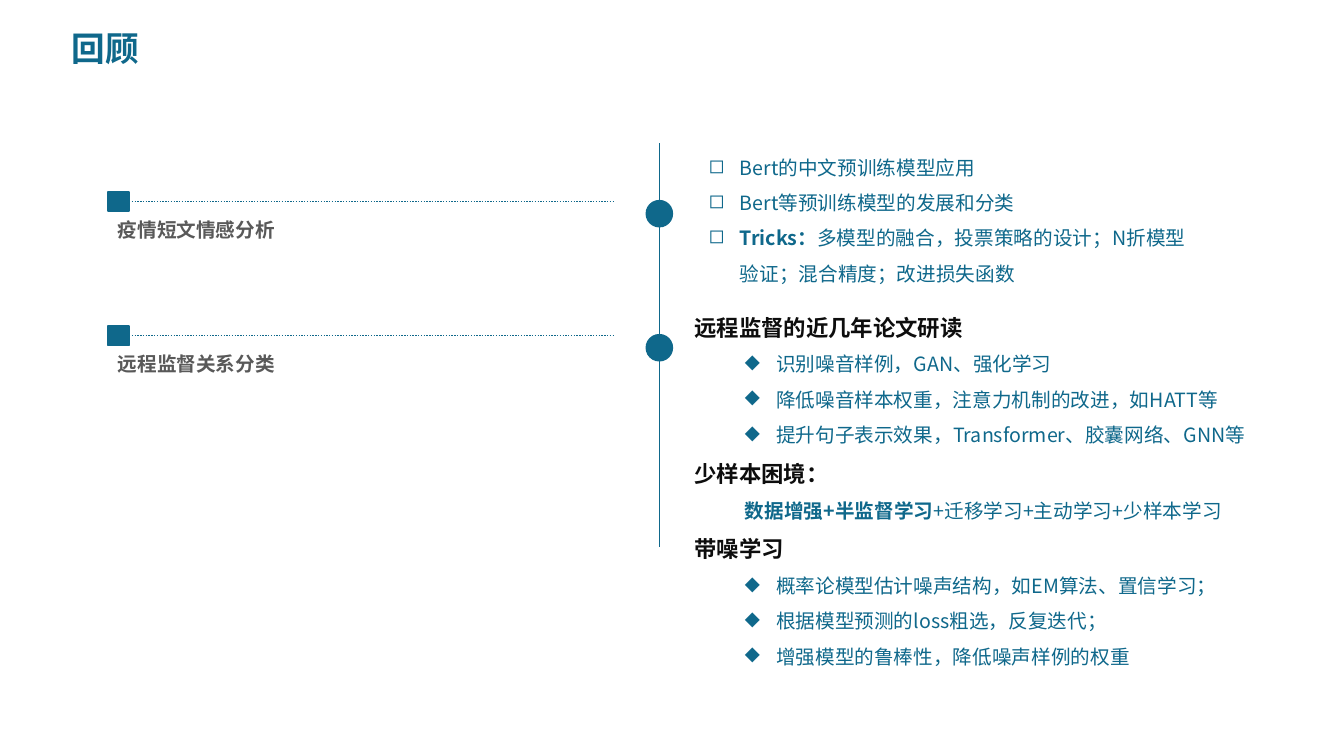
from lxml import etree
from pptx import Presentation
from pptx.dml.color import RGBColor
from pptx.enum.dml import MSO_LINE
from pptx.enum.shapes import MSO_CONNECTOR, MSO_SHAPE
from pptx.enum.text import MSO_ANCHOR, MSO_AUTO_SIZE, PP_ALIGN
from pptx.oxml.ns import qn
from pptx.util import Inches, Pt

OVAL, RECT = MSO_SHAPE.OVAL, MSO_SHAPE.RECTANGLE
STRAIGHT, DOTTED = MSO_CONNECTOR.STRAIGHT, MSO_LINE.ROUND_DOT
MIDDLE, JUSTIFY = MSO_ANCHOR.MIDDLE, PP_ALIGN.JUSTIFY
GROW, FIXED = MSO_AUTO_SIZE.SHAPE_TO_FIT_TEXT, MSO_AUTO_SIZE.NONE

# Content: a paragraph is (style, [(text, bold), ...])
TITLE = "回顾"
TOPICS = ["疫情短文情感分析", "远程监督关系分类"]
SENTIMENT = [
    ("square", [("Bert的中文预训练模型应用", False)]),
    ("square", [("Bert等预训练模型的发展和分类", False)]),
    ("square", [("Tricks：", True),
                ("多模型的融合，投票策略的设计；N折模型验证；混合精度；改进损失函数", False)]),
]
RELATION = [
    ("heading", [("远程监督的近几年论文研读", True)]),
    ("diamond", [("识别噪音样例，GAN、强化学习", False)]),
    ("diamond", [("降低噪音样本权重，注意力机制的改进，如HATT等", False)]),
    ("diamond", [("提升句子表示效果，Transformer、胶囊网络、GNN等", False)]),
    ("heading", [("少样本困境：", True)]),
    ("indented", [("数据增强+半监督学习", True), ("+迁移学习+主动学习+少样本学习", False)]),
    ("heading", [("带噪学习", True)]),
    ("diamond", [("概率论模型估计噪声结构，如EM算法、置信学习；", False)]),
    ("diamond", [("根据模型预测的loss粗选，反复迭代；", False)]),
    ("diamond", [("增强模型的鲁棒性，降低噪声样例的权重", False)]),
]

THEME = {
    "font": "Noto Sans CJK SC",
    "teal": RGBColor(0x0F, 0x68, 0x8B),
    "gray": RGBColor(0x59, 0x59, 0x59),
    "black": RGBColor(0x0D, 0x0D, 0x0D),
    "title": 24, "heading": 16, "body": 14,
}
# style: level, left margin, first-line indent, bullet, size, colour
STYLES = {
    "topic": (0, 0, 0, None, "body", "gray"),
    "square": (0, 0.31, -0.31, "◻", "body", "teal"),
    "heading": (0, 0, 0, None, "heading", "black"),
    "diamond": (1, 0.81, -0.31, "◆", "body", "teal"),
    "indented": (1, 0.5, 0, None, "body", "teal"),
}

prs = Presentation()
prs.slide_width, prs.slide_height = Inches(13.33), Inches(7.5)
s = prs.slides.add_slide(prs.slide_layouts[5])


def add_run(p, text, size, color, bold):
    r = p.add_run()
    r.text = text
    r.font.size, r.font.bold = Pt(THEME[size]), bold
    r.font.color.rgb = THEME[color]
    r.font.name = THEME["font"]
    ea = etree.SubElement(r.font._element, qn("a:ea"))
    ea.set("typeface", THEME["font"])


def add_text(x, y, w, h, paragraphs, spacing=1.5):
    tf = s.shapes.add_textbox(Inches(x), Inches(y), Inches(w), Inches(h)).text_frame
    tf.word_wrap, tf.auto_size = True, GROW
    for i, (style, runs) in enumerate(paragraphs):
        level, margin, indent, bullet, size, color = STYLES[style]
        p = tf.add_paragraph() if i else tf.paragraphs[0]
        p.level, p.line_spacing = level, spacing
        pPr = p._p.get_or_add_pPr()
        pPr.set("marL", str(Inches(margin)))
        pPr.set("indent", str(Inches(indent)))
        if bullet:
            etree.SubElement(pPr, qn("a:buChar")).set("char", bullet)
        for text, bold in runs:
            add_run(p, text, size, color, bold)


def add_line(x1, y1, x2, y2, dash=None):
    line = s.shapes.add_connector(STRAIGHT, Inches(x1), Inches(y1), Inches(x2), Inches(y2))
    line.line.color.rgb, line.line.width = THEME["teal"], Pt(1)
    if dash:
        line.line.dash_style = dash
    etree.SubElement(line._element.spPr, qn("a:effectLst"))


def add_marker(kind, x, y, w, h):
    sp = s.shapes.add_shape(kind, Inches(x), Inches(y), Inches(w), Inches(h))
    sp.shadow.inherit = False
    sp.fill.solid()
    sp.fill.fore_color.rgb = sp.line.color.rgb = THEME["teal"]
    sp.line.width = Pt(1)


# Title
title = s.shapes.title
title.left, title.top, title.width, title.height = map(Inches, (0.61, 0.23, 1.71, 0.55))
tf = title.text_frame
tf.vertical_anchor, tf.auto_size, tf.word_wrap = MIDDLE, FIXED, True
p = tf.paragraphs[0]
p.alignment, p.line_spacing = JUSTIFY, 0.9
add_run(p, TITLE, "title", "teal", True)

# Timeline with one dot, marker, rule and label per topic
LEFT, RULE_END, AXIS = 1.07, 6.1, 6.54
FIRST_RULE, STEP = 2.0, 1.33
DOT, MARK_W, MARK_H = 0.26, 0.21, 0.19
add_line(AXIS, 1.42, AXIS, 5.43)
for i, topic in enumerate(TOPICS):
    y = FIRST_RULE + i * STEP
    add_marker(OVAL, AXIS - DOT / 2, y - 0.01, DOT, DOT)
    add_marker(RECT, LEFT, y - MARK_H / 2, MARK_W, MARK_H)
    add_line(LEFT + MARK_W, y, RULE_END, y, DOTTED)
    add_text(LEFT, y + 0.11, RULE_END - LEFT, 0.34, [("topic", [(topic, True)])], 1.0)

# Notes beside the timeline
add_text(6.93, 1.38, 4.99, 1.47, SENTIMENT)
add_text(6.79, 2.93, 5.8, 3.74, RELATION)

prs.save("out.pptx")
